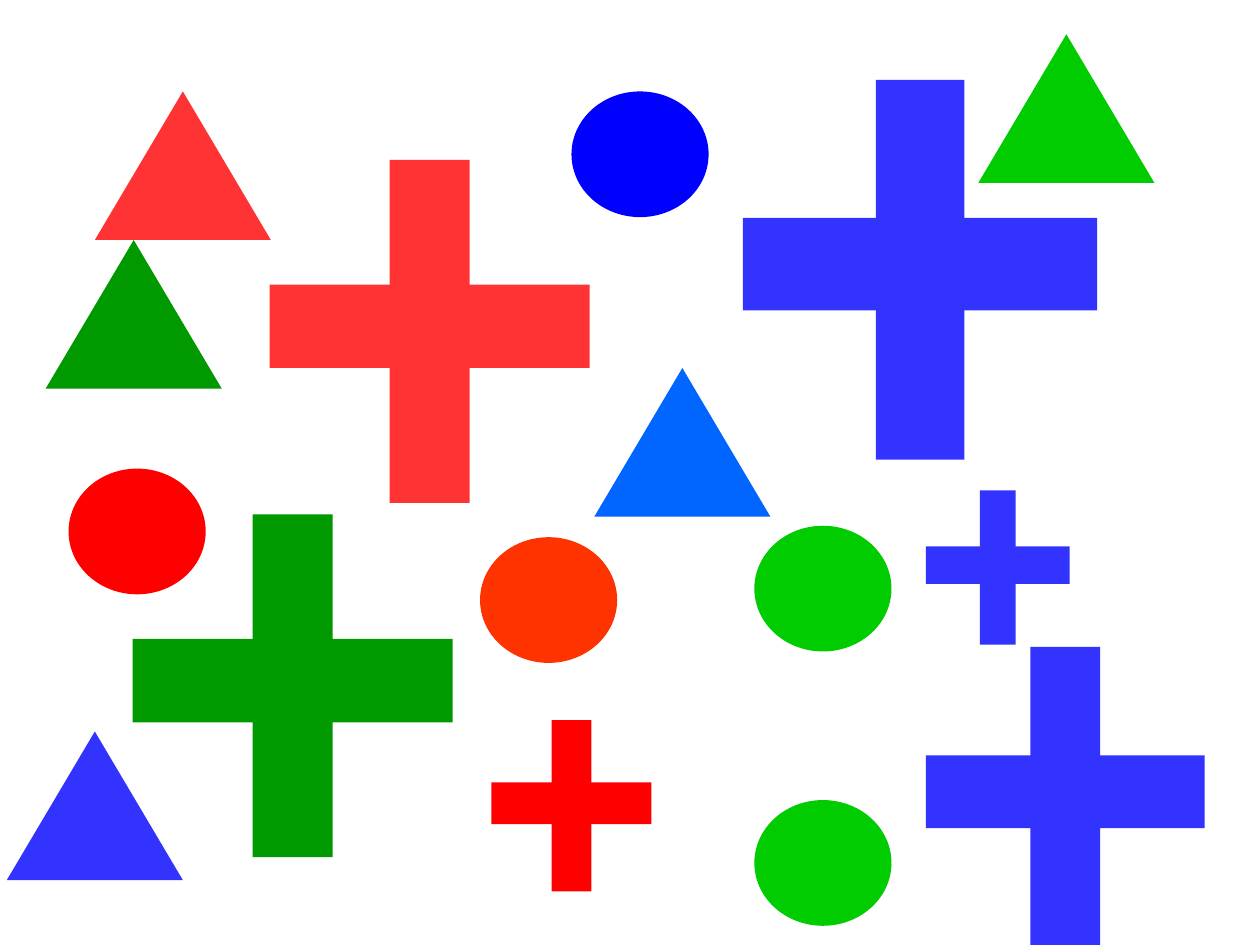
"""Builds a slide of scattered crosses, triangles and ellipses."""
from pptx import Presentation
from pptx.dml.color import RGBColor
from pptx.enum.shapes import MSO_SHAPE
from pptx.util import Inches

CM_PER_INCH = 2.54
RED, BRIGHT_RED, ORANGE = "FF3333", "FF0000", "FF3300"
BLUE, PURE_BLUE, SKY = "3333FF", "0000FF", "0066FF"
GREEN, LIME = "009900", "00CC00"

CROSSES = [
    (2.36, 1.4, 2.8, RED),
    (8.1, 5.66, 2.44, BLUE),
    (6.5, 0.7, 3.1, BLUE),
    (8.1, 4.29, 1.26, BLUE),
    (1.16, 4.5, 2.8, GREEN),
    (4.3, 6.3, 1.4, BRIGHT_RED),
]
TRIANGLES = [
    (0.83, 0.8, RED),
    (0.4, 2.1, GREEN),
    (8.56, 0.3, LIME),
    (0.06, 6.4, BLUE),
    (5.2, 3.22, SKY),
]
ELLIPSES = [
    (6.6, 4.6, LIME),
    (4.2, 4.7, ORANGE),
    (6.6, 7, LIME),
    (0.6, 4.1, BRIGHT_RED),
    (5, 0.8, PURE_BLUE),
]


def rgb(color):
    """Return the colour of a hex string."""
    return RGBColor.from_string(color)


class Board:
    """Holds the current slide and the style of its flat shapes."""

    triangle_size = (1.54, 1.3)
    ellipse_size = (1.2, 1.1)

    def __init__(self, s):
        """Keep the slide and paint its background white."""
        self.s = s
        s.background.fill.solid()
        s.background.fill.fore_color.rgb = rgb("FFFFFF")

    def shape(self, shapes, kind, x, y, w, h, color):
        """Add one flat shape to a shape collection."""
        sp = shapes.add_shape(kind, Inches(x), Inches(y), Inches(w), Inches(h))
        sp.shadow.inherit = False
        sp.fill.solid()
        sp.fill.fore_color.rgb = rgb(color)
        sp.line.fill.background()

    def cross(self, x, y, size, color):
        """Add a grouped cross whose parts scale with its width."""
        shapes = self.s.shapes.add_group_shape().shapes
        unit = size / 2.8
        bar = (x, y + 1.09 * unit, size, 0.73 * unit)
        post = (x + 1.05 * unit, y, 0.7 * unit, 3 * unit)
        for box in (bar, post):
            self.shape(shapes, MSO_SHAPE.RECTANGLE, *box, color)

    def triangle(self, x, y, color):
        """Add a triangle of the standard size."""
        self.shape(self.s.shapes, MSO_SHAPE.ISOSCELES_TRIANGLE, x, y, *self.triangle_size, color)

    def ellipse(self, x, y, color):
        """Add an ellipse of the standard size."""
        self.shape(self.s.shapes, MSO_SHAPE.OVAL, x, y, *self.ellipse_size, color)


def main():
    """Build and save the slide."""
    prs = Presentation()
    prs.slide_width = Inches(28 / CM_PER_INCH)
    prs.slide_height = Inches(21 / CM_PER_INCH)
    board = Board(prs.slides.add_slide(prs.slide_layouts[6]))
    for add, items in (
        (board.cross, CROSSES),
        (board.triangle, TRIANGLES),
        (board.ellipse, ELLIPSES),
    ):
        for item in items:
            add(*item)
    prs.save("out.pptx")


if __name__ == "__main__":
    main()
